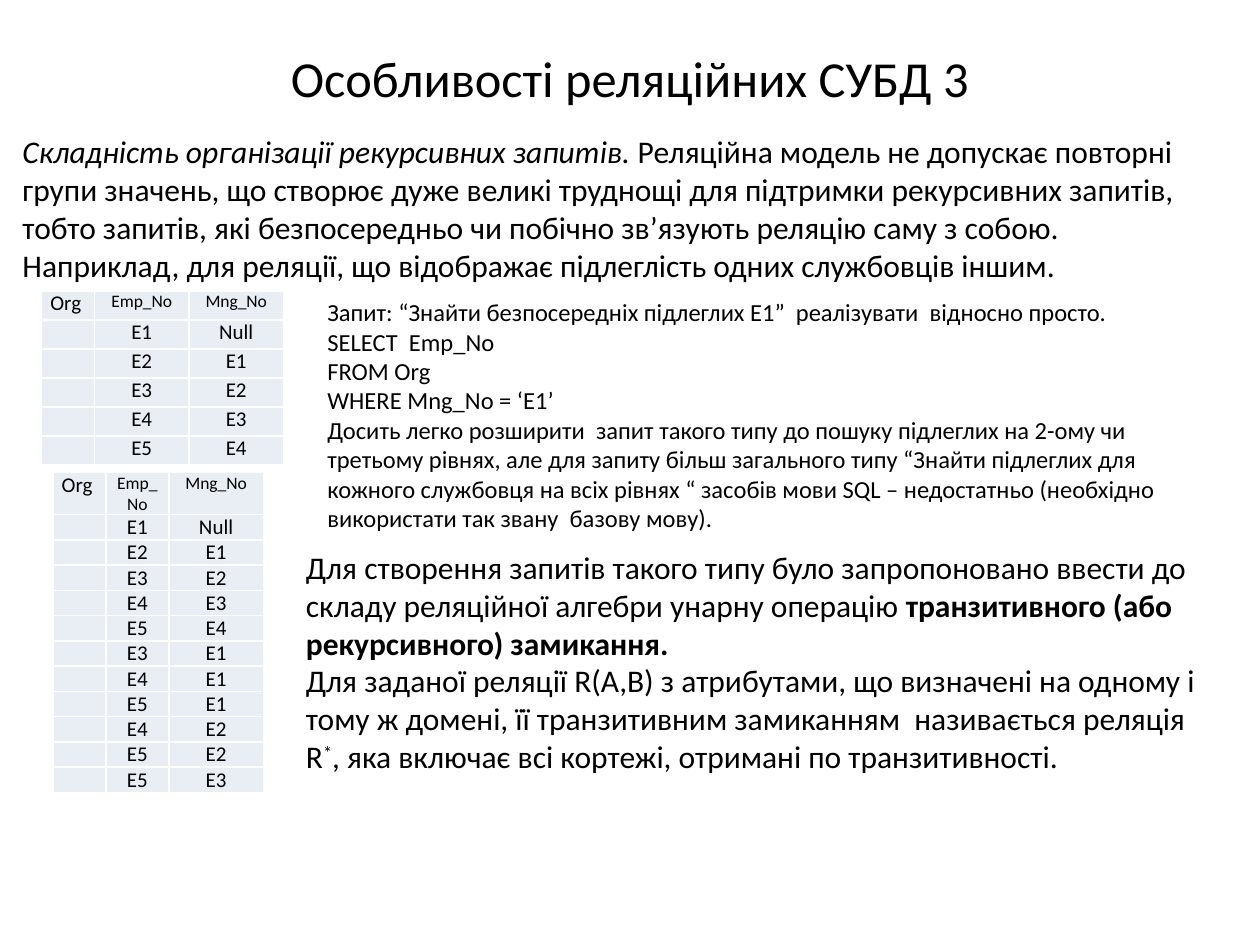
from lxml.etree import SubElement
from pptx import Presentation
from pptx.dml.color import RGBColor
from pptx.enum.text import MSO_ANCHOR, MSO_AUTO_SIZE, PP_ALIGN
from pptx.oxml.ns import qn
from pptx.util import Inches, Pt

COLORS = {"text": "000000", "cell": "E9EDF4"}
FONT = "Calibri"
ROW = 0.23
HEADER = ["Org", "Emp_No", "Mng_No"]
DIRECT = [("E1", "Null"), ("E2", "E1"), ("E3", "E2"), ("E4", "E3"), ("E5", "E4")]
CLOSURE = DIRECT + [("E3", "E1"), ("E4", "E1"), ("E5", "E1"),
                    ("E4", "E2"), ("E5", "E2"), ("E5", "E3")]

INTRO = [
    [("Складність організації рекурсивних запитів.", "italic"),
     (" Реляційна модель не допускає повторні групи значень, що створює дуже великі "
      "труднощі для підтримки рекурсивних запитів, тобто запитів, які безпосередньо "
      "чи побічно зв’язують реляцію саму з собою.", "")],
    [("Наприклад, для реляції, що відображає підлеглість одних службовців іншим.", "")],
]
QUERY = [
    [("Запит: “Знайти безпосередніх підлеглих Е1”  реалізувати  відносно просто.\u00a0", "")],
    [("SELECT  Emp_No", "")],
    [("FROM Org", "")],
    [("WHERE Mng_No = ‘E1’\u00a0", "")],
    [("Досить легко розширити  запит такого типу до пошуку підлеглих на 2-ому чи "
      "третьому рівнях, але для запиту більш загального типу “Знайти підлеглих для "
      "кожного службовця на всіх рівнях “ засобів мови SQL – недостатньо (необхідно "
      "використати так звану  базову мову).", "")],
]
CLOSING = [
    [("Для створення запитів такого типу було запропоновано ввести до складу "
      "реляційної алгебри унарну операцію ", ""),
     ("транзитивного (або рекурсивного) замикання. ", "bold")],
    [("Для заданої реляції R(A,B) з атрибутами, що визначені на одному і тому ж домені, "
      "її транзитивним замиканням  називається реляція R", ""),
     ("*", "superscript"),
     (", яка включає всі кортежі, отримані по транзитивності.", "")],
]


def style(p, size, align=PP_ALIGN.LEFT):
    """Format a whole paragraph."""
    p.alignment = align
    p.font.size = Pt(size)
    p.font.name = FONT
    p.font.color.rgb = RGBColor.from_string(COLORS["text"])


def add_title(s, text, box):
    """Fill and place the title placeholder."""
    title = s.shapes.title
    title.left, title.top, title.width, title.height = map(Inches, box)
    tf = title.text_frame
    tf.text = text
    tf.auto_size = MSO_AUTO_SIZE.NONE
    tf.vertical_anchor = MSO_ANCHOR.MIDDLE
    style(tf.paragraphs[0], 28.8, PP_ALIGN.CENTER)


def add_text(s, paragraphs, box, size):
    """Add a wrapped text box of paragraphs made of (text, emphasis) runs."""
    tf = s.shapes.add_textbox(*map(Inches, box)).text_frame
    tf.word_wrap = True
    tf.auto_size = MSO_AUTO_SIZE.SHAPE_TO_FIT_TEXT
    for i, runs in enumerate(paragraphs):
        p = tf.add_paragraph() if i else tf.paragraphs[0]
        style(p, size)
        for text, emphasis in runs:
            r = p.add_run()
            r.text = text
            if emphasis == "superscript":
                r.font._element.set("baseline", "30000")
            elif emphasis:
                setattr(r.font, emphasis, True)


def fill_cell(cell, text, size, align):
    """Write one table cell with tight margins."""
    cell.margin_left = cell.margin_right = Inches(0.07)
    cell.margin_top = cell.margin_bottom = 0
    cell.fill.solid()
    cell.fill.fore_color.rgb = RGBColor.from_string(COLORS["cell"])
    p = cell.text_frame.paragraphs[0]
    style(p, size, align)
    if text:
        p.add_run().text = text
    else:
        SubElement(p._p, qn("a:endParaRPr"), sz=str(size * 100))


def add_relation(s, pairs, left, top, widths, header_height, row_height):
    """Add the Org relation as a table of employee and manager pairs."""
    rows = [HEADER] + [("", *pair) for pair in pairs]
    height = header_height + row_height * len(pairs)
    table = s.shapes.add_table(len(rows), len(widths), Inches(left), Inches(top),
                               Inches(sum(widths)), Inches(height)).table
    table.first_row = table.horz_banding = False
    for column, width in zip(table.columns, widths):
        column.width = Inches(width)
    for i, row in enumerate(rows):
        table.rows[i].height = Inches(row_height if i else header_height)
        for j, text in enumerate(row):
            size = 10 if i == 0 and j else 12
            align = PP_ALIGN.CENTER if j else PP_ALIGN.JUSTIFY
            fill_cell(table.cell(i, j), text, size, align)


def build_slide(prs):
    """Lay out the slide on recursive queries."""
    s = prs.slides.add_slide(prs.slide_layouts[5])
    add_title(s, "Особливості реляційних СУБД 3", (0.5, 0.3, 9, 0.62))
    add_text(s, INTRO, (0.08, 1, 9.58, 1.31), 18)
    add_relation(s, DIRECT, 0.33, 2.31, (0.42, 0.75, 0.75), ROW, ROW)
    add_text(s, QUERY, (2.5, 2.31, 7.33, 1.99), 14)
    add_relation(s, CLOSURE, 0.42, 3.75, (0.42, 0.5, 0.75), 0.33, 0.2)
    add_text(s, CLOSING, (2.33, 4.3, 7.5, 1.92), 18)


prs = Presentation()
prs.slide_width, prs.slide_height = Inches(10), Inches(7.5)
build_slide(prs)
prs.save("out.pptx")
